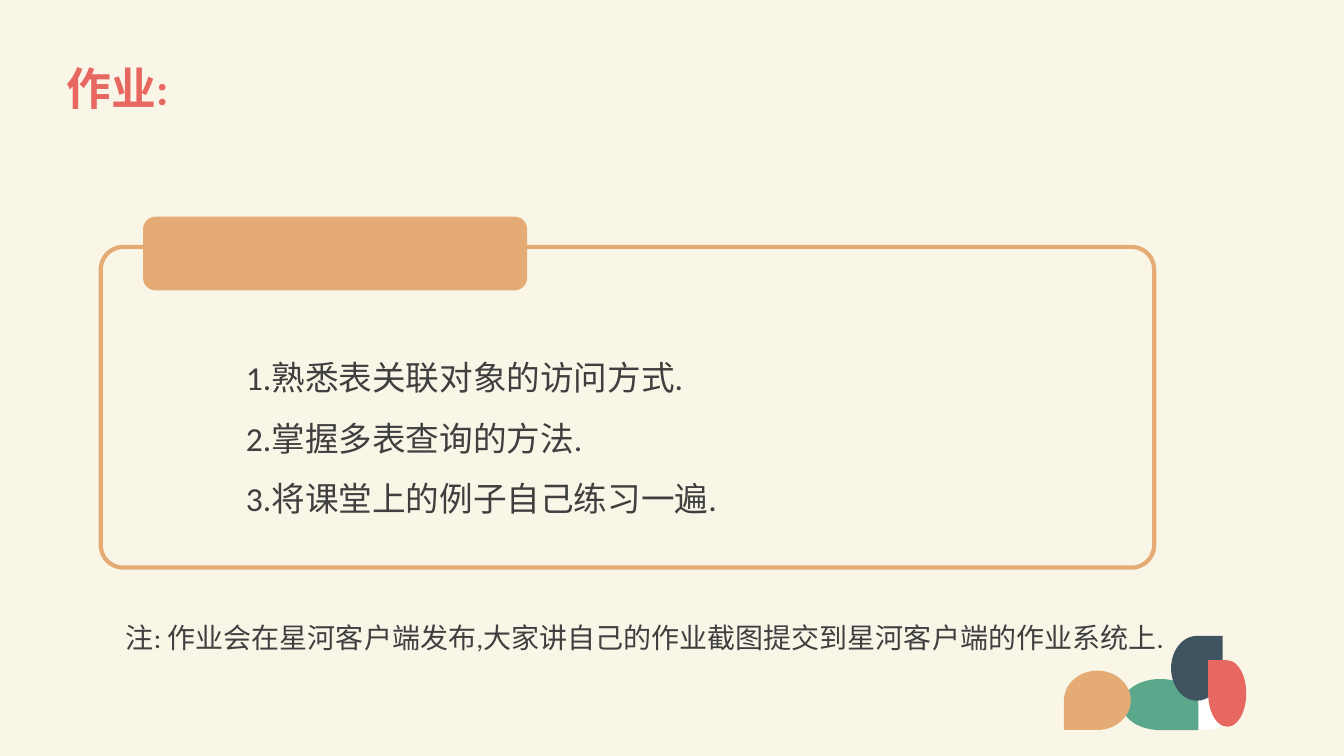
from pptx import Presentation
from pptx.dml.color import RGBColor
from pptx.enum.shapes import MSO_SHAPE as Kind
from pptx.enum.text import MSO_ANCHOR as Anchor, MSO_AUTO_SIZE as Fit, PP_ALIGN as Align
from pptx.oxml.ns import qn
from pptx.util import Pt
from lxml.etree import SubElement

SAND, CORAL, INK = "E5AB74", "E76861", "3F3F3F"
TASKS = ["1.熟悉表关联对象的访问方式.", "2.掌握多表查询的方法.", "3.将课堂上的例子自己练习一遍."]
NOTE = "注: 作业会在星河客户端发布,大家讲自己的作业截图提交到星河客户端的作业系统上."
PETALS = [
    (801.5, 485, 54.5, 36.5, 90, "5BA78C"),
    (836.5, 454.2, 36.8, 46.3, 0, "3F5361"),
    (863, 471.6, 27.2, 47.5, 270, CORAL),
    (760, 479, 47.7, 42.4, 180, SAND),
]


def paint(fmt, color):
    fmt.solid()
    fmt.fore_color.rgb = RGBColor.from_string(color)


def place(shape, left, top, width, height):
    shape.left, shape.top = Pt(left), Pt(top)
    shape.width, shape.height = Pt(width), Pt(height)


def write(shape, lines, size, color, anchor=Anchor.TOP, space=1.0, bold=False):
    frame = shape.text_frame
    frame.text = "\n".join(lines)
    frame.word_wrap = True
    frame.auto_size = Fit.NONE
    frame.vertical_anchor = anchor
    for para in frame.paragraphs:
        props = para._p.get_or_add_pPr()
        props.set("marL", "0")
        props.set("indent", "0")
        SubElement(props, qn("a:buNone"))
        para.alignment = Align.LEFT
        para.line_spacing = space
        para.space_before = Pt(0)
        font = para.font
        font.name, font.size, font.bold = "Calibri", Pt(size), bold
        font.color.rgb = RGBColor.from_string(color)


def block(slide, kind, left, top, width, height, fill=None, line=None):
    shape = slide.shapes.add_shape(kind, Pt(left), Pt(top), Pt(width), Pt(height))
    shape.shadow.inherit = False
    if fill:
        paint(shape.fill, fill)
    else:
        shape.fill.background()
    if line:
        paint(shape.line.fill, line)
        shape.line.width = Pt(3)
    else:
        shape.line.fill.background()
    return shape


def petal(slide, left, top, width, height, turn, color):
    wide, tall = (height, width) if turn % 180 else (width, height)
    shape = block(slide, Kind.TEAR, left + (width - wide) / 2,
                  top + (height - tall) / 2, wide, tall, color)
    shape.rotation = turn


def main():
    deck = Presentation()
    deck.slide_width, deck.slide_height = Pt(960), Pt(540)
    slide = deck.slides.add_slide(deck.slide_layouts[1])
    paint(slide.background.fill, "F9F6E7")

    title, tasks = slide.placeholders
    place(title, 40.3, 26.6, 885, 76.3)
    write(title, ["作业:"], 32, CORAL, Anchor.MIDDLE, 0.9, True)
    place(tasks, 168.5, 237, 366, 138)
    write(tasks, TASKS, 24, INK, space=1.5)

    block(slide, Kind.OVAL, 838, 499.7, 43.2, 21.6, "FFFFFF")
    for item in PETALS:
        petal(slide, *item)

    panel = block(slide, Kind.ROUNDED_RECTANGLE, 72, 176.4, 752.4, 229, line=SAND)
    panel.adjustments[0] = 0.07
    block(slide, Kind.ROUNDED_RECTANGLE, 102.2, 154.8, 274.3, 52.6, SAND)

    note = slide.shapes.add_textbox(Pt(82.8), Pt(440), Pt(753.8), Pt(31.7))
    write(note, [NOTE], 20, INK)
    deck.save("out.pptx")


if __name__ == "__main__":
    main()
